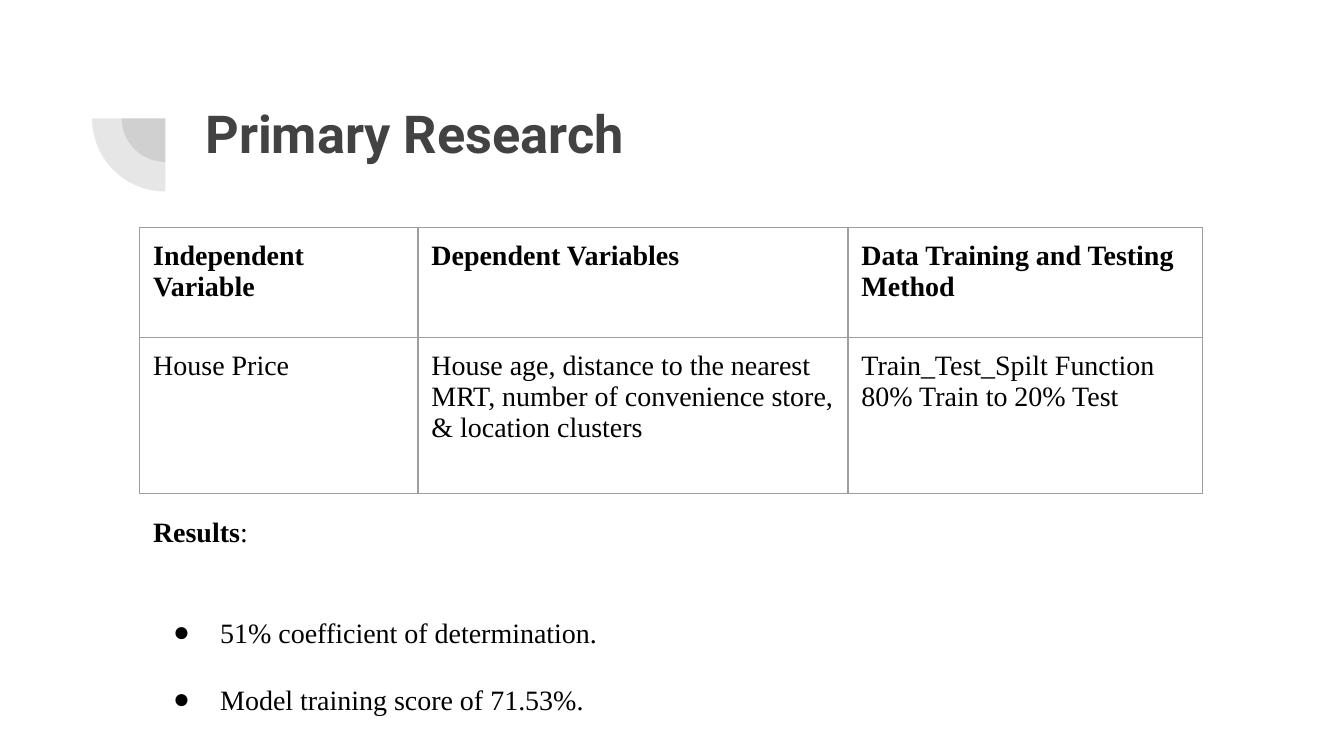
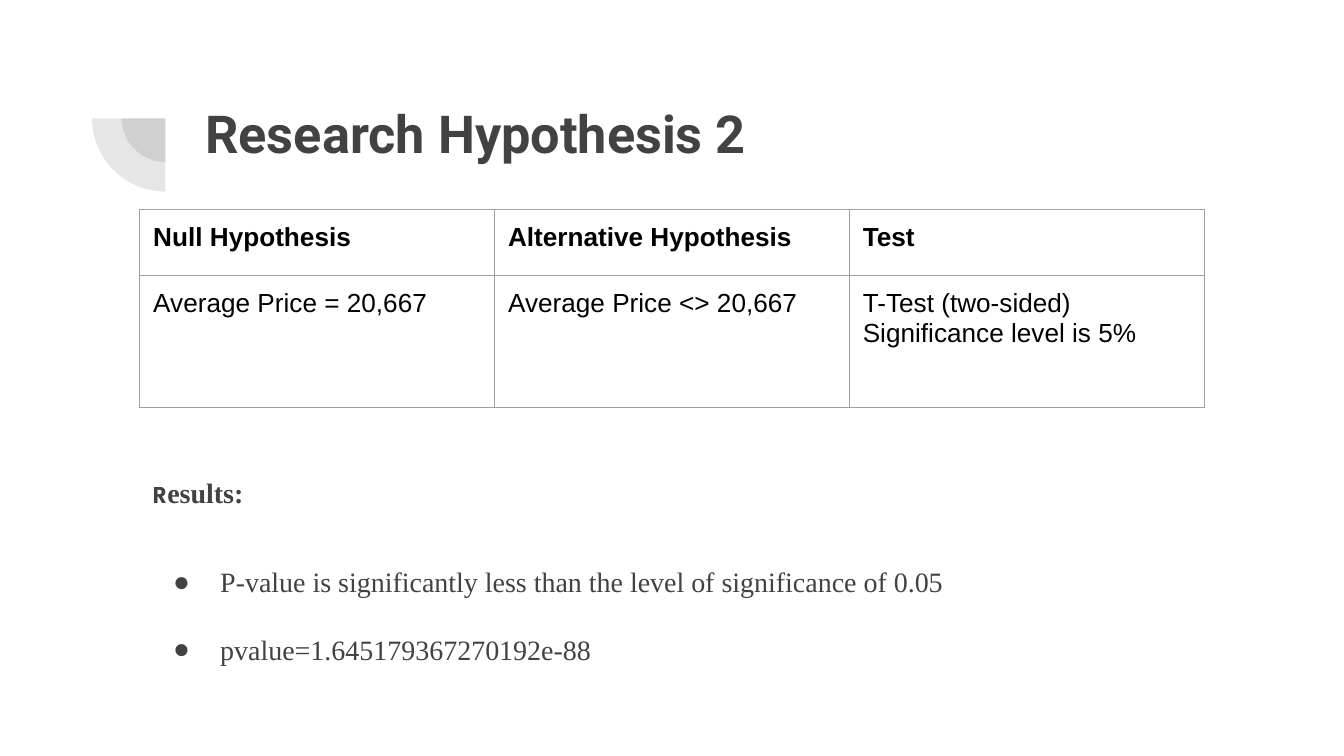
"""Build two research slides, each with a title, a table and results."""

from dataclasses import dataclass

import lxml.etree
import pptx
import pptx.dml.color
import pptx.enum.shapes
import pptx.oxml.ns
import pptx.slide
import pptx.text.text
import pptx.util
from pptx.util import Inches

GREY = "424242"
BLACK = "000000"
RULE = "9E9E9E"
SERIF = "Times New Roman"
LEFT = 1.04
WIDTH = 7.92
PAD = 0.1


@dataclass(frozen=True)
class Run:
    text: str
    size: float
    font: str
    hue: str
    bold: bool = False


@dataclass(frozen=True)
class Para:
    runs: tuple[Run, ...]
    space: float = 1.0
    before: float = 0
    dot: bool = False


@dataclass(frozen=True)
class Grid:
    top: float
    cols: tuple[float, ...]
    rows: tuple[float, ...]
    size: float
    font: str
    cells: tuple[tuple[str, ...], ...]


@dataclass(frozen=True)
class Page:
    title: str
    grid: Grid
    top: float
    height: float
    paras: tuple[Para, ...]


def rgb(code: str) -> pptx.dml.color.RGBColor:
    """Turn a hex string into a colour."""
    return pptx.dml.color.RGBColor.from_string(code)


def node(base, tag: str, **attrs: str):
    """Append a drawing element to a base element."""
    return lxml.etree.SubElement(base, pptx.oxml.ns.qn(tag), attrs)


def fill_frame(frame: pptx.text.text.TextFrame, paras: tuple[Para, ...]) -> None:
    """Write paragraphs into a text frame run by run."""
    frame.word_wrap = True
    for spot, para in enumerate(paras):
        line = frame.add_paragraph() if spot else frame.paragraphs[0]
        line.line_spacing = para.space
        line.space_before = pptx.util.Pt(para.before)
        for item in para.runs:
            run = line.add_run()
            run.text = item.text
            run.font.size = pptx.util.Pt(item.size)
            run.font.name = item.font
            run.font.bold = item.bold
            run.font.color.rgb = rgb(item.hue)
        if para.dot:
            props = line._p.get_or_add_pPr()
            props.set("marL", str(Inches(0.5)))
            props.set("indent", str(Inches(-0.35)))
            node(node(props, "a:buClr"), "a:srgbClr", val=para.runs[0].hue)
            node(props, "a:buFont", typeface=SERIF)
            node(props, "a:buChar", char="●")


def add_text(slide: pptx.slide.Slide, left: float, top: float, width: float,
             height: float, paras: tuple[Para, ...]) -> None:
    """Add a text box with even insets."""
    box = slide.shapes.add_textbox(*map(Inches, (left, top, width, height)))
    frame = box.text_frame
    frame.margin_left = frame.margin_right = Inches(PAD)
    frame.margin_top = frame.margin_bottom = Inches(PAD)
    fill_frame(frame, paras)


def add_mark(slide: pptx.slide.Slide) -> None:
    """Draw the two clear quarter pies beside the title."""
    for size in (0.65, 1.09):
        left, top = 1.23 - size / 2, 0.88 - size / 2
        pie = slide.shapes.add_shape(
            pptx.enum.shapes.MSO_SHAPE.PIE,
            *map(Inches, (left, top, size, size)))
        pie.adjustments[0] = 108
        pie.adjustments[1] = 162
        pie.rotation = 270
        pie.shadow.inherit = False
        pie.line.fill.background()
        pie.fill.solid()
        pie.fill.fore_color.rgb = rgb(GREY)
        tint = next(pie.element.spPr.iter(pptx.oxml.ns.qn("a:srgbClr")))
        node(tint, "a:alpha", val="13000")


def add_rules(cell) -> None:
    """Draw a thin rule on each side of a cell."""
    props = cell._tc.get_or_add_tcPr()
    for side in "LRTB":
        edge = node(props, f"a:ln{side}", w=str(pptx.util.Pt(0.75)))
        node(node(edge, "a:solidFill"), "a:srgbClr", val=RULE)


def add_grid(slide: pptx.slide.Slide, grid: Grid) -> None:
    """Add a plain ruled table with a bold head row."""
    size = (LEFT, grid.top, sum(grid.cols), sum(grid.rows))
    table = slide.shapes.add_table(
        len(grid.rows), len(grid.cols), *map(Inches, size)).table
    table.first_row = table.horz_banding = False
    for col, width in zip(table.columns, grid.cols):
        col.width = Inches(width)
    for row, height in zip(table.rows, grid.rows):
        row.height = Inches(height)
    for y, texts in enumerate(grid.cells):
        for x, text in enumerate(texts):
            cell = table.cell(y, x)
            cell.margin_left = cell.margin_right = Inches(PAD)
            cell.margin_top = cell.margin_bottom = Inches(PAD)
            add_rules(cell)
            cell.fill.background()
            fill_frame(cell.text_frame, tuple(
                Para((Run(part, grid.size, grid.font, BLACK, y == 0),))
                for part in text.split("\n")))


def add_page(deck, page: Page) -> None:
    """Add one slide to the deck."""
    slide = deck.slides.add_slide(deck.slide_layouts[6])
    slide.background.fill.solid()
    slide.background.fill.fore_color.rgb = rgb("FFFFFF")
    add_mark(slide)
    head = Para((Run(page.title, 28, "Roboto", GREY, True),))
    add_text(slide, 1.43, 0.65, 7.69, 0.8, (head,))
    add_grid(slide, page.grid)
    add_text(slide, LEFT, page.top, WIDTH, page.height, page.paras)


def point(text: str, hue: str, before: float = 0) -> Para:
    """Make a bullet point."""
    return Para((Run(text, 15, SERIF, hue),), 2.0, before, True)


PAGES = (
    Page(
        "Primary Research",
        Grid(1.69, (2.07, 3.2, 2.64), (0.82, 1.16), 15, SERIF, (
            ("Independent Variable", "Dependent Variables",
             "Data Training and Testing Method"),
            ("House Price",
             "House age, distance to the nearest MRT, "
             "number of convenience store, & location clusters",
             "Train_Test_Spilt Function\n80% Train to 20% Test"),
        )),
        3.73, 1.46,
        (
            Para((Run("Results", 15, SERIF, BLACK, True),
                  Run(":", 15, SERIF, BLACK))),
            point("51% coefficient of determination.", BLACK, 18),
            point("Model training score of 71.53%.", BLACK),
        ),
    ),
    Page(
        "Research Hypothesis 2",
        Grid(1.56, (2.64,) * 3, (0.49, 0.98), 14, "Arial", (
            ("Null Hypothesis", "Alternative Hypothesis", "Test"),
            ("Average Price = 20,667", "Average Price <> 20,667",
             "T-Test (two-sided)\nSignificance level is 5%"),
        )),
        3.4, 1.65,
        (
            Para((Run("R", 13, "League Spartan", GREY, True),
                  Run("esults:", 15, SERIF, GREY, True)), 1.15),
            point("P-value is significantly less than the level of "
                  "significance of 0.05", GREY, 12),
            point("pvalue=1.645179367270192e-88", GREY),
        ),
    ),
)


def main() -> None:
    """Build and save the deck."""
    deck = pptx.Presentation()
    deck.slide_width = Inches(10)
    deck.slide_height = deck.slide_width * 9 // 16
    for page in PAGES:
        add_page(deck, page)
    deck.save("out.pptx")


if __name__ == "__main__":
    main()
